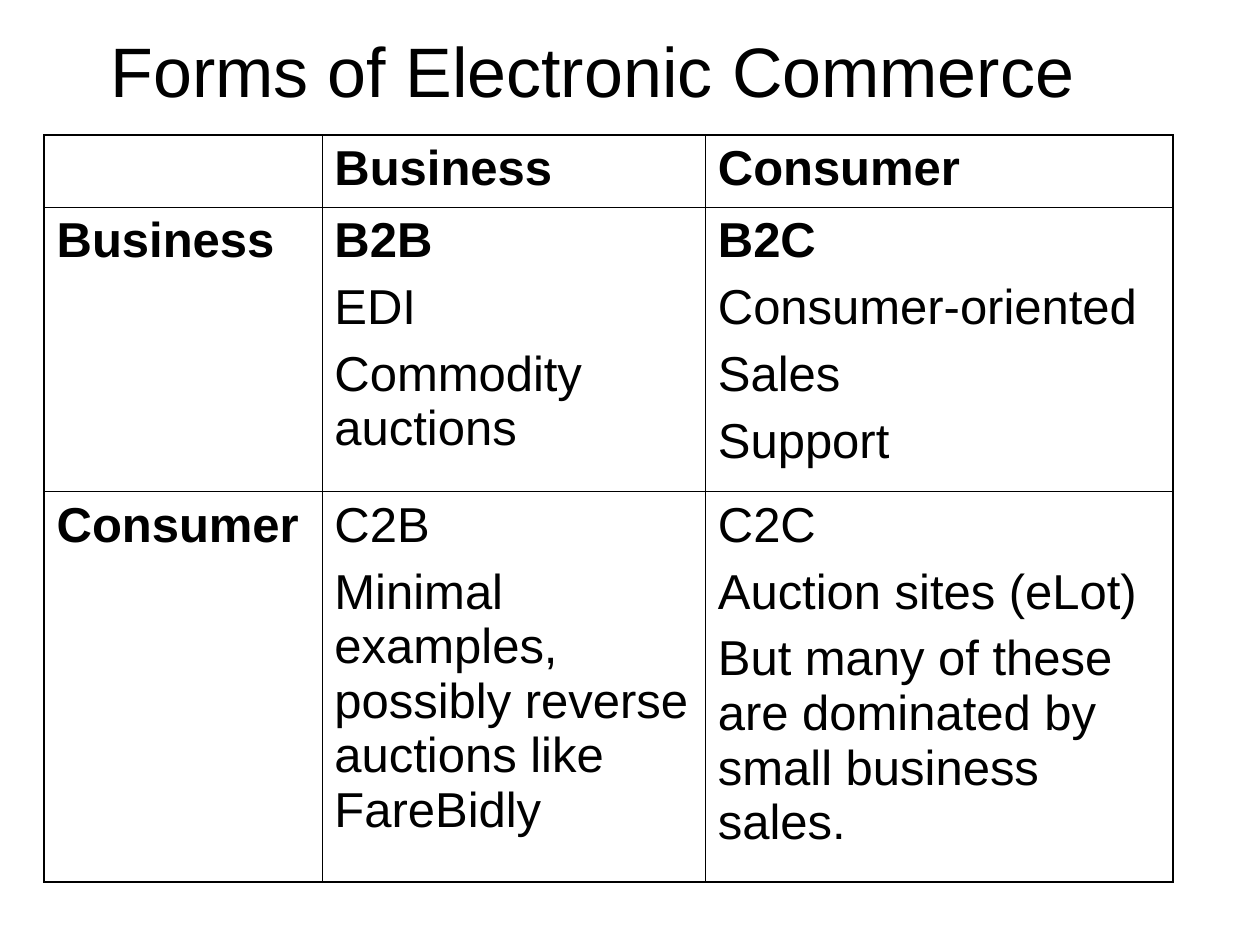
from dataclasses import dataclass
from lxml.etree import SubElement
from pptx import Presentation
from pptx.dml.color import RGBColor
from pptx.enum.text import MSO_ANCHOR, PP_ALIGN
from pptx.oxml.ns import qn
from pptx.slide import Slide
from pptx.util import Cm, Pt


def tint(code):
    return RGBColor.from_string(code)


@dataclass
class Deck:
    """Draw titles and ruled tables on one slide in a shared style."""
    slide: Slide
    font: str = "Arial"
    ink: str = "000000"
    thin: float = 0.45
    thick: float = 1.08

    def text(self, para, words, size, bold=False):
        run = para.add_run()
        run.text = words
        run.font.name = self.font
        run.font.size = Pt(size)
        run.font.bold = bold
        run.font.color.rgb = tint(self.ink)

    def title(self, words, left, top, width, height):
        box = self.slide.shapes.title
        box.left, box.top, box.width, box.height = map(Cm, (left, top, width, height))
        frame = box.text_frame
        frame.word_wrap = True
        frame.vertical_anchor = MSO_ANCHOR.MIDDLE
        para = frame.paragraphs[0]
        para.alignment = PP_ALIGN.CENTER
        self.text(para, words, 40)

    def rule(self, cell, side, width):
        props = cell._tc.get_or_add_tcPr()
        line = SubElement(props, qn("a:ln" + side), w=str(Pt(width)))
        fill = SubElement(line, qn("a:solidFill"))
        SubElement(fill, qn("a:srgbClr"), val=self.ink)

    def fill(self, cell, lines, heads):
        frame = cell.text_frame
        for n, words in enumerate(lines):
            para = frame.add_paragraph() if n else frame.paragraphs[0]
            if n:
                para.space_before = Pt(7)
            self.text(para, words, 28, n < heads)

    def table(self, rows, left, top, wides, highs):
        frame = self.slide.shapes.add_table(
            len(highs), len(wides), Cm(left), Cm(top), Cm(sum(wides)), Cm(sum(highs)))
        grid = frame.table
        grid.first_row = grid.horz_banding = False
        for col, wide in zip(grid.columns, wides):
            col.width = Cm(wide)
        for row, high in zip(grid.rows, highs):
            row.height = Cm(high)
        for r, row in enumerate(rows):
            for c, (lines, heads) in enumerate(row):
                cell = grid.cell(r, c)
                outer = {"L": c == 0, "R": c == len(wides) - 1,
                         "T": r == 0, "B": r == len(highs) - 1}
                for side, edge in outer.items():
                    self.rule(cell, side, self.thick if edge else self.thin)
                cell.fill.background()
                self.fill(cell, lines, heads)


def main():
    show = Presentation()
    show.slide_width, show.slide_height = Cm(25.4), Cm(19.05)
    deck = Deck(show.slides.add_slide(show.slide_layouts[5]))
    deck.title("Forms of Electronic Commerce", 0.51, 0.53, 22.86, 1.75)
    rows = [
        [([], 0), (["Business"], 1), (["Consumer"], 1)],
        [(["Business"], 1),
         (["B2B", "EDI", "Commodity auctions"], 1),
         (["B2C", "Consumer-oriented", "Sales", "Support"], 1)],
        [(["Consumer"], 1),
         (["C2B", "Minimal examples, possibly reverse auctions like FareBidly"], 0),
         (["C2C", "Auction sites (eLot)",
           "But many of these are dominated by small business sales."], 0)],
    ]
    deck.table(rows, 0.89, 2.72, [5.6, 7.73, 9.43], [1.45, 5.74, 7.87])
    show.save("out.pptx")


if __name__ == "__main__":
    main()
